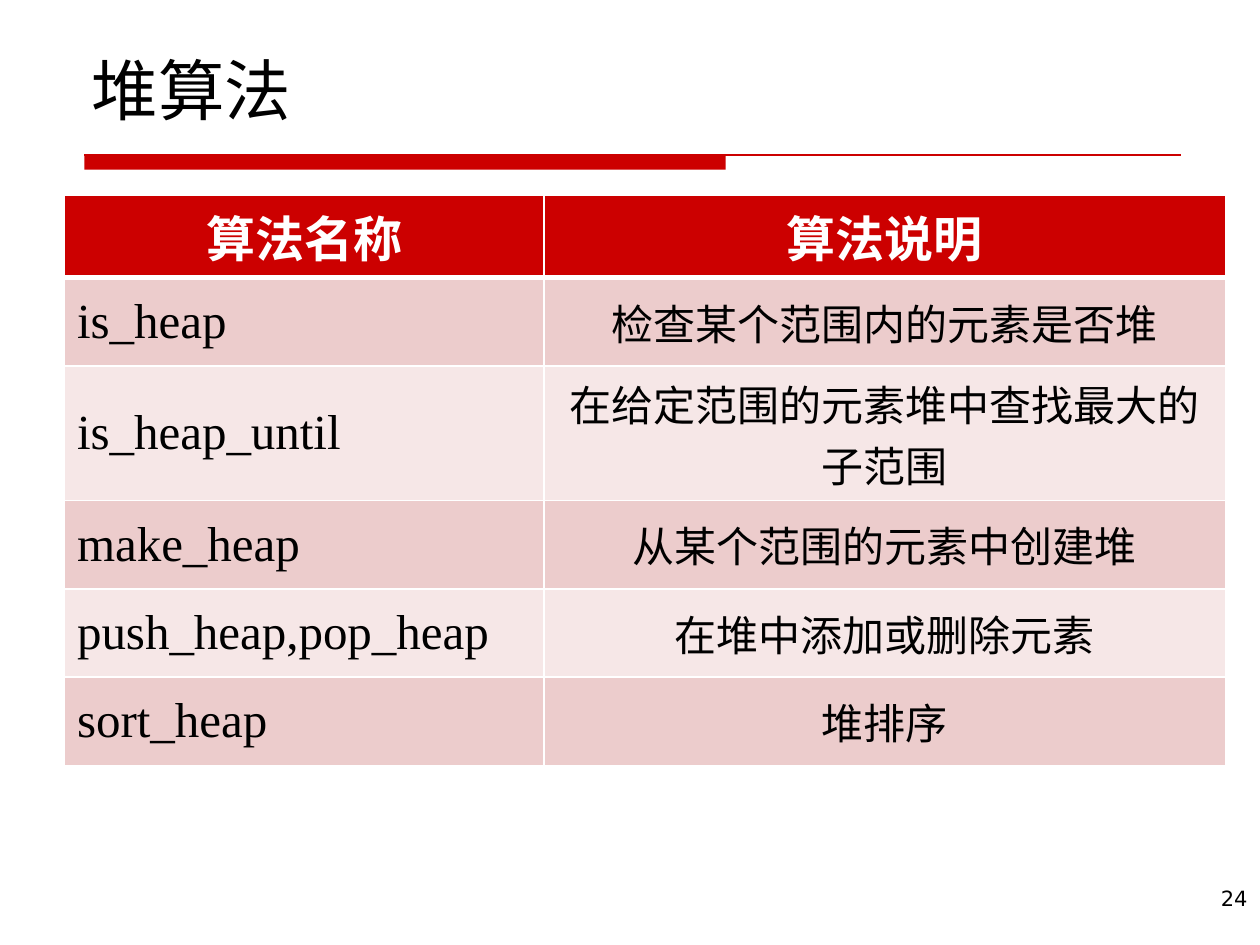
from lxml import etree
from pptx import Presentation
from pptx.dml.color import RGBColor
from pptx.enum.shapes import MSO_CONNECTOR, MSO_SHAPE
from pptx.enum.text import MSO_ANCHOR, PP_ALIGN
from pptx.oxml.ns import qn
from pptx.util import Cm, Pt

LEFT, CENTER, RIGHT = PP_ALIGN.LEFT, PP_ALIGN.CENTER, PP_ALIGN.RIGHT
TOP, MIDDLE, BOTTOM = MSO_ANCHOR.TOP, MSO_ANCHOR.MIDDLE, MSO_ANCHOR.BOTTOM
RECTANGLE, STRAIGHT = MSO_SHAPE.RECTANGLE, MSO_CONNECTOR.STRAIGHT

COLORS = {
    "red": "CC0000",
    "dark_band": "ECCCCC",
    "light_band": "F6E7E7",
    "black": "000000",
    "white": "FFFFFF",
}
SERIF, SANS = "Times New Roman", "DejaVu Sans"

HEADER = ("算法名称", "算法说明")
ALGORITHMS = [
    ("is_heap", "检查某个范围内的元素是否堆"),
    ("is_heap_until", "在给定范围的元素堆中查找最大的子范围"),
    ("make_heap", "从某个范围的元素中创建堆"),
    ("push_heap,pop_heap", "在堆中添加或删除元素"),
    ("sort_heap", "堆排序"),
]
COLUMN_WIDTHS = (9.67, 13.73)
ROW_HEIGHTS = (1.67, 1.78, 2.71, 1.78, 1.78, 1.78)


def color(name):
    """Return the named colour."""
    return RGBColor.from_string(COLORS[name])


def write(frame, text, size=28, font=SERIF, ink="black", bold=False, align=LEFT):
    """Put one formatted paragraph in a text frame."""
    para = frame.paragraphs[0]
    para.alignment = align
    span = para.add_run()
    span.text = text
    span.font.name = font
    span.font.size = Pt(size)
    span.font.bold = bold
    span.font.color.rgb = color(ink)


def add_text(page, text, left, top, width, height, anchor=TOP, **style):
    """Add a wrapping text box."""
    box = page.shapes.add_textbox(Cm(left), Cm(top), Cm(width), Cm(height))
    box.text_frame.word_wrap = True
    box.text_frame.vertical_anchor = anchor
    write(box.text_frame, text, **style)


def add_title_rule(page, left, top, bar_width, bar_height, line_width):
    """Draw the thick bar and the thin line under the title."""
    bar = page.shapes.add_shape(
        RECTANGLE, Cm(left), Cm(top), Cm(bar_width), Cm(bar_height)
    )
    bar.shadow.inherit = False
    bar.fill.solid()
    bar.fill.fore_color.rgb = color("red")
    bar.line.fill.background()
    line = page.shapes.add_connector(
        STRAIGHT, Cm(left), Cm(top), Cm(left + line_width), Cm(top)
    )
    line.line.color.rgb = color("red")
    line.line.width = Pt(1)
    etree.SubElement(line._element.spPr, qn("a:effectLst"))


def add_borders(cell, **widths):
    """Give a cell white borders of the given point widths."""
    properties = cell._tc.get_or_add_tcPr()
    for side, width in widths.items():
        border = etree.SubElement(properties, qn(f"a:ln{side}"), w=str(Pt(width)))
        fill = etree.SubElement(border, qn("a:solidFill"))
        etree.SubElement(fill, qn("a:srgbClr"), val=COLORS["white"])


def fill_cell(cell, text, fill, anchor=MIDDLE, top=1, bottom=1, **style):
    """Set the text, borders and fill of a table cell."""
    add_borders(cell, L=1, R=1, T=top, B=bottom)
    cell.fill.solid()
    cell.fill.fore_color.rgb = color(fill)
    cell.vertical_anchor = anchor
    write(cell.text_frame, text, **style)


def add_algorithm_table(page, left, top):
    """Add the table of heap algorithms."""
    table = page.shapes.add_table(
        len(ROW_HEIGHTS), len(COLUMN_WIDTHS),
        Cm(left), Cm(top), Cm(sum(COLUMN_WIDTHS)), Cm(sum(ROW_HEIGHTS)),
    ).table
    table.horz_banding = False
    for column, width in zip(table.columns, COLUMN_WIDTHS):
        column.width = Cm(width)
    for row, height in zip(table.rows, ROW_HEIGHTS):
        row.height = Cm(height)
    for index, text in enumerate(HEADER):
        fill_cell(table.cell(0, index), text, "red", anchor=TOP, bottom=3,
                  ink="white", bold=True, align=CENTER)
    for index, (name, description) in enumerate(ALGORITHMS, start=1):
        band = "dark_band" if index % 2 else "light_band"
        top_width = 3 if index == 1 else 1
        fill_cell(table.cell(index, 0), name, band, top=top_width)
        fill_cell(table.cell(index, 1), description, band, top=top_width,
                  size=24, align=CENTER)


def main():
    """Build and save the slide."""
    deck = Presentation()
    deck.slide_width, deck.slide_height = Cm(25.4), Cm(19.05)
    page = deck.slides.add_slide(deck.slide_layouts[6])
    add_title_rule(page, 1.7, 3.12, bar_width=12.93, bar_height=0.3, line_width=22.1)
    add_text(page, "24", 19.96, 17.73, 5.44, 1.32, size=12, font=SANS, align=RIGHT)
    add_text(page, "堆算法", 1.6, 0.84, 22.23, 1.88, anchor=BOTTOM, size=38)
    add_algorithm_table(page, 1.3, 3.93)
    deck.save("out.pptx")


if __name__ == "__main__":
    main()
